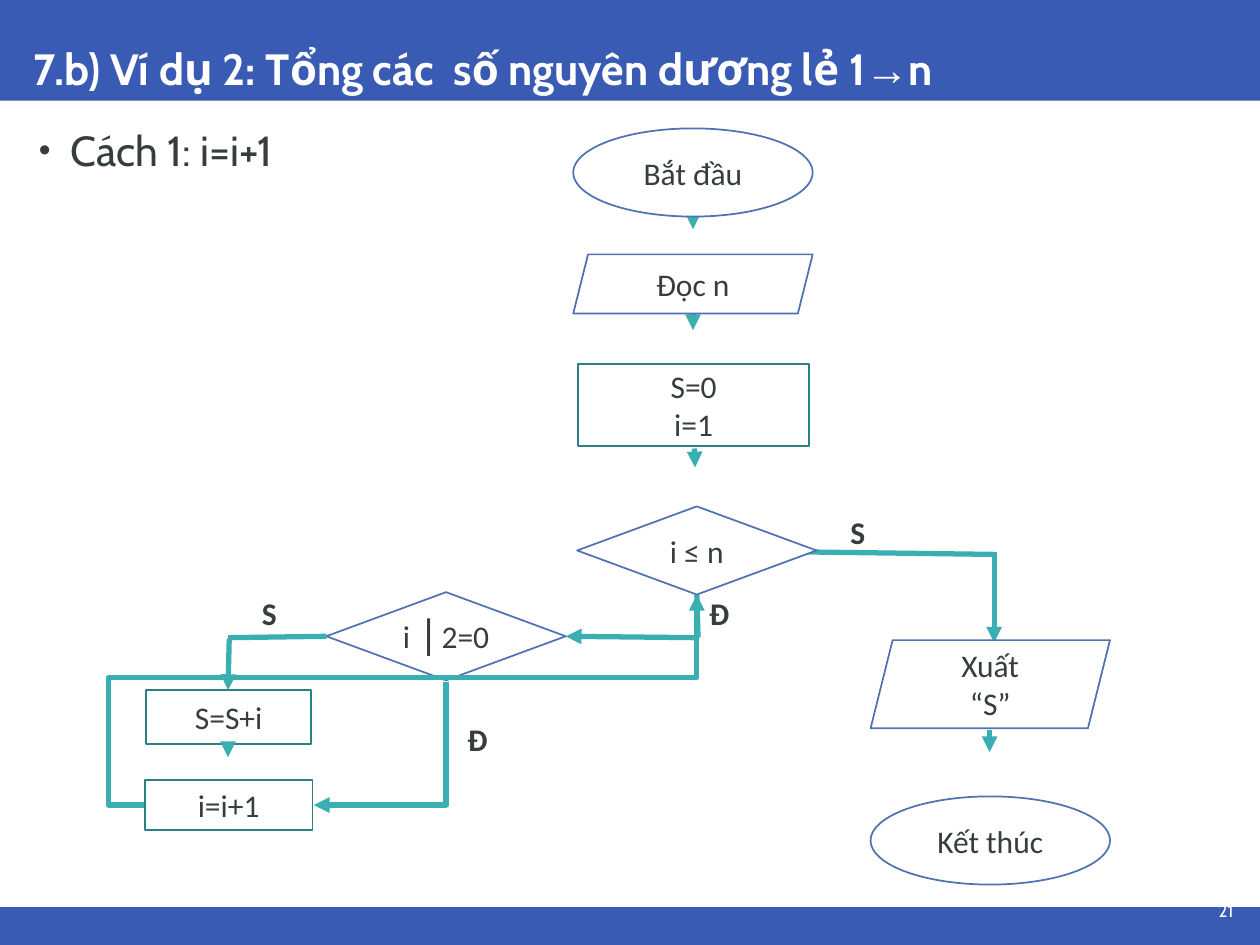
import pptx
import pptx.dml.color
import pptx.enum.shapes
import pptx.enum.text
import pptx.oxml.ns
import pptx.util
from lxml import etree

Pt = pptx.util.Pt
RGBColor = pptx.dml.color.RGBColor
Shape = pptx.enum.shapes.MSO_SHAPE
Align = pptx.enum.text.PP_ALIGN
Anchor = pptx.enum.text.MSO_ANCHOR
qn = pptx.oxml.ns.qn

WHITE = RGBColor(0xFF, 0xFF, 0xFF)
BAND_BLUE = RGBColor(0x3A, 0x5B, 0xB3)
OUTLINE_BLUE = RGBColor(0x51, 0x72, 0xB1)
OUTLINE_TEAL = RGBColor(0x2A, 0x80, 0x82)
ARROW_TEAL = RGBColor(0x3A, 0xAF, 0xB2)
INK = RGBColor(0x36, 0x3D, 0x3D)

SLIDE_WIDTH, SLIDE_HEIGHT = 720, 540
NODE_WIDTH, NODE_HEIGHT = 136.8, 50.4


def write_text(frame, lines, size=18, font="Calibri", color=INK, bold=False,
               align=Align.LEFT, anchor=Anchor.TOP, inset=0, wrap=True, spacing=None):
    """Fill a frame; a line is a string or a list of (text, font, bold) runs."""
    frame.word_wrap = wrap
    frame.vertical_anchor = anchor
    frame.margin_left = frame.margin_right = Pt(inset)
    frame.margin_top = frame.margin_bottom = Pt(inset)
    for index, line in enumerate(lines):
        paragraph = frame.add_paragraph() if index else frame.paragraphs[0]
        paragraph.alignment = align
        if spacing:
            paragraph.line_spacing = spacing
        runs = [(line, font, bold)] if isinstance(line, str) else line
        for text, run_font, run_bold in runs:
            run = paragraph.add_run()
            run.text = text
            run.font.name = run_font
            run.font.size = Pt(size)
            run.font.bold = run_bold
            run.font.color.rgb = color


def add_text(slide, box, lines, **text_format):
    shape = slide.shapes.add_textbox(*map(Pt, box))
    write_text(shape.text_frame, lines, **text_format)
    return shape


def add_box(slide, kind, box, fill=None, line=None):
    shape = slide.shapes.add_shape(kind, *map(Pt, box))
    shape.shadow.inherit = False
    if fill is None:
        shape.fill.background()
    else:
        shape.fill.solid()
        shape.fill.fore_color.rgb = fill
    if line is None:
        shape.line.fill.background()
    else:
        shape.line.color.rgb = line
        shape.line.width = Pt(1)
    return shape


def add_node(slide, kind, box, lines, fill=WHITE, line=OUTLINE_BLUE):
    shape = add_box(slide, kind, box, fill, line)
    write_text(shape.text_frame, lines, align=Align.CENTER,
               anchor=Anchor.MIDDLE, wrap=False)


def add_process(slide, box, lines):
    add_node(slide, Shape.RECTANGLE, box, lines, fill=None, line=OUTLINE_TEAL)


def style_flow(shape, arrow):
    shape.line.color.rgb = ARROW_TEAL
    shape.line.width = Pt(3)
    if arrow:
        etree.SubElement(shape.line._get_or_add_ln(), qn("a:tailEnd"), type="triangle")


def add_flow(slide, start, end, arrow=True):
    connector = slide.shapes.add_connector(
        pptx.enum.shapes.MSO_CONNECTOR.STRAIGHT, *map(Pt, start + end))
    style_flow(connector, arrow)
    etree.SubElement(connector._element.spPr, qn("a:effectLst"))


def add_bent_flow(slide, points):
    corners = [(Pt(x), Pt(y)) for x, y in points]
    builder = slide.shapes.build_freeform(*corners[0], scale=1.0)
    builder.add_line_segments(corners[1:], close=False)
    shape = builder.convert_to_shape()
    shape.shadow.inherit = False
    shape.fill.background()
    style_flow(shape, arrow=True)


def add_header(slide, left, top, width, height):
    add_box(slide, Shape.RECTANGLE, (left, top, width, height), BAND_BLUE)
    title = [("7.b) Ví dụ 2: Tổng các  số nguyên dương lẻ 1", "Cabin", True),
             ("→", "Arial", False), ("n", "Cabin", True)]
    add_text(slide, (left + 15.8, top, width - 31, height), [title], size=25,
             color=WHITE, anchor=Anchor.BOTTOM, inset=3.6, spacing=0.9)


def add_footer(slide, left, top, width, height):
    add_box(slide, Shape.RECTANGLE, (left, top, width, height), BAND_BLUE)
    add_text(slide, (left + width - 53.3, top - 7.9, 38.2, 19.4), ["21"], size=10,
             font="Cabin", color=WHITE, align=Align.RIGHT, anchor=Anchor.MIDDLE)


def add_body(slide, left, top, width, height):
    shape = add_text(slide, (left, top, width, height), [], inset=3.6)
    paragraph_properties = shape.text_frame.paragraphs[0]._p.get_or_add_pPr()
    paragraph_properties.set("marL", str(Pt(20.9)))
    paragraph_properties.set("indent", str(Pt(-18)))
    bullet_color = etree.SubElement(paragraph_properties, qn("a:buClr"))
    etree.SubElement(bullet_color, qn("a:srgbClr"), val=str(INK))
    etree.SubElement(paragraph_properties, qn("a:buSzPct"), val="80000")
    etree.SubElement(paragraph_properties, qn("a:buFont"), typeface="Arial")
    etree.SubElement(paragraph_properties, qn("a:buChar"), char="•")
    write_text(shape.text_frame, ["Cách 1: i=i+1"], size=24, font="Cabin",
               inset=3.6, spacing=0.9)


def add_flowchart(slide, left, top):
    def at(x, y, *size):
        return (left + x, top + y) + size

    node = (NODE_WIDTH, NODE_HEIGHT)

    # Flows that run behind the nodes
    add_flow(slide, at(334.1, 50.4), at(334.1, 57.6))
    add_flow(slide, at(334.1, 105.9), at(334.1, 115.2))
    add_flow(slide, at(503.6, 343.5), at(503.6, 356.4))
    add_flow(slide, at(506.2, 242), at(506.2, 293.8))
    add_flow(slide, at(397.5, 242), at(506.2, 243.4), arrow=False)
    add_flow(slide, at(337, 291), at(336.3, 266.5), arrow=False)
    add_flow(slide, at(337, 291), at(261.4, 290.2))

    # Main column
    add_node(slide, Shape.OVAL, at(265.7, 0, *node), ["Bắt đầu"])
    add_node(slide, Shape.PARALLELOGRAM, at(265.7, 72, NODE_WIDTH, 33.8), ["Đọc n"])
    add_process(slide, at(268.6, 134.7, 131.8, 46.8), ["S=0", "i=1"])
    add_flow(slide, at(335, 182.9), at(335.3, 193.7))
    add_node(slide, Shape.DIAMOND, at(267.9, 216, *node), ["i ≤ n"])

    # Output branch
    add_node(slide, Shape.PARALLELOGRAM, at(435.6, 292.4, *node), ["Xuất", "“S”"])
    add_node(slide, Shape.OVAL, at(435.6, 381.7, *node), ["Kết thúc"])

    # Odd-number branch
    add_process(slide, at(21.6, 320.9, 94.3, 31), ["S=S+i"])
    condition = [("i ", "Calibri", False), ("⎟ ", "Arial", False),
                 ("2=0", "Calibri", False)]
    add_node(slide, Shape.DIAMOND, at(124.6, 265, *node), [condition])
    add_process(slide, at(20.9, 372.2, 95.8, 28.8), ["i=i+1"])
    add_flow(slide, at(68.4, 291), at(124.6, 290.2), arrow=False)
    add_flow(slide, at(69.1, 291.7), at(68.4, 320.9))
    add_flow(slide, at(68.4, 352.8), at(68.4, 359.3))

    # Loop back to the test, and skip past the sum
    add_bent_flow(slide, [at(20.2, 386.6), at(0, 386.6), at(0, 313.9),
                          at(336.3, 313.9), at(336.3, 266.5)])
    add_bent_flow(slide, [at(193, 316.1), at(193, 386.6), at(117.4, 386.6)])

    # Branch labels
    for label, x, y in (("S", 420.5, 216), ("Đ", 339.8, 262.8),
                        ("S", 84.2, 262.8), ("Đ", 201.6, 334.8)):
        add_text(slide, at(x, y, 20, 28), [label], bold=True, inset=3.6, wrap=False)


def main():
    presentation = pptx.Presentation()
    presentation.slide_width = Pt(SLIDE_WIDTH)
    presentation.slide_height = Pt(SLIDE_HEIGHT)
    slide = presentation.slides.add_slide(presentation.slide_layouts[6])
    add_header(slide, 0, 0, SLIDE_WIDTH, 57.6)
    add_footer(slide, 0, 518.4, SLIDE_WIDTH, 21.6)
    add_flowchart(slide, 61.9, 73.4)
    add_body(slide, 15.8, 70.6, 689, 435.6)
    presentation.save("out.pptx")


if __name__ == "__main__":
    main()
